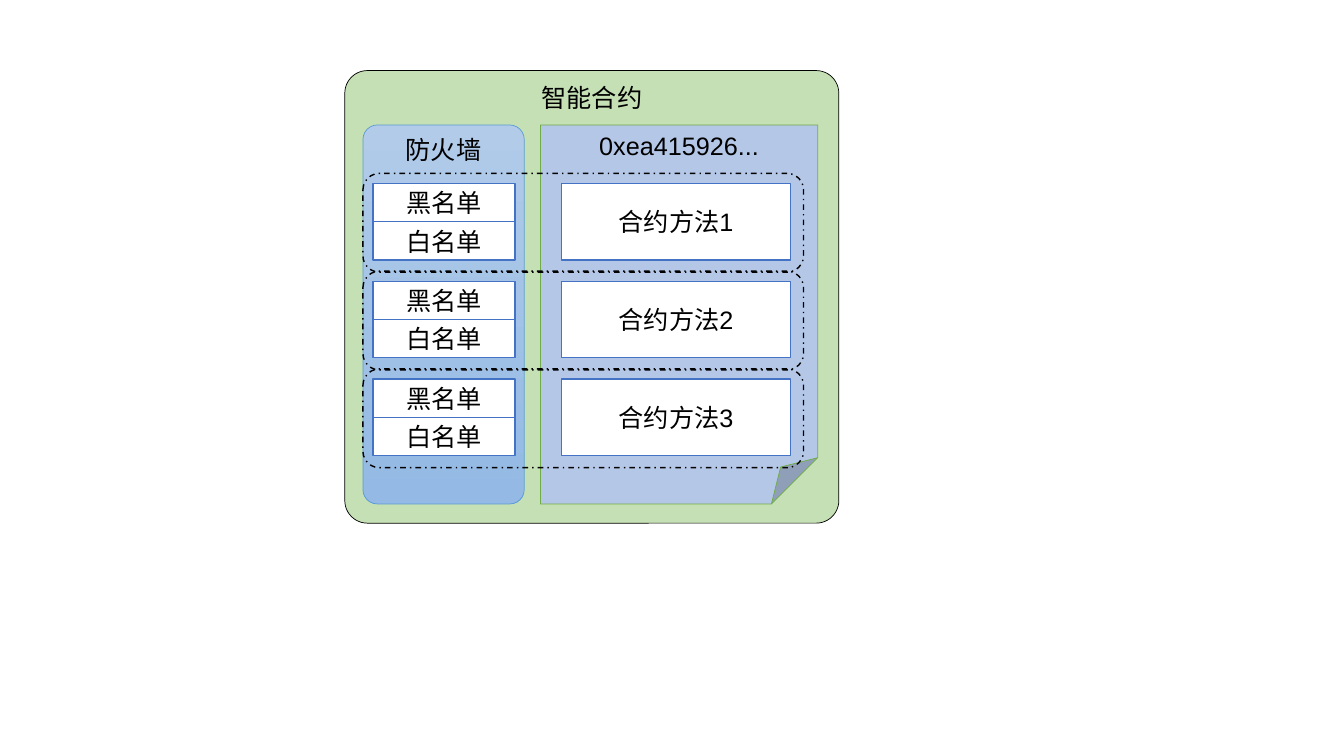
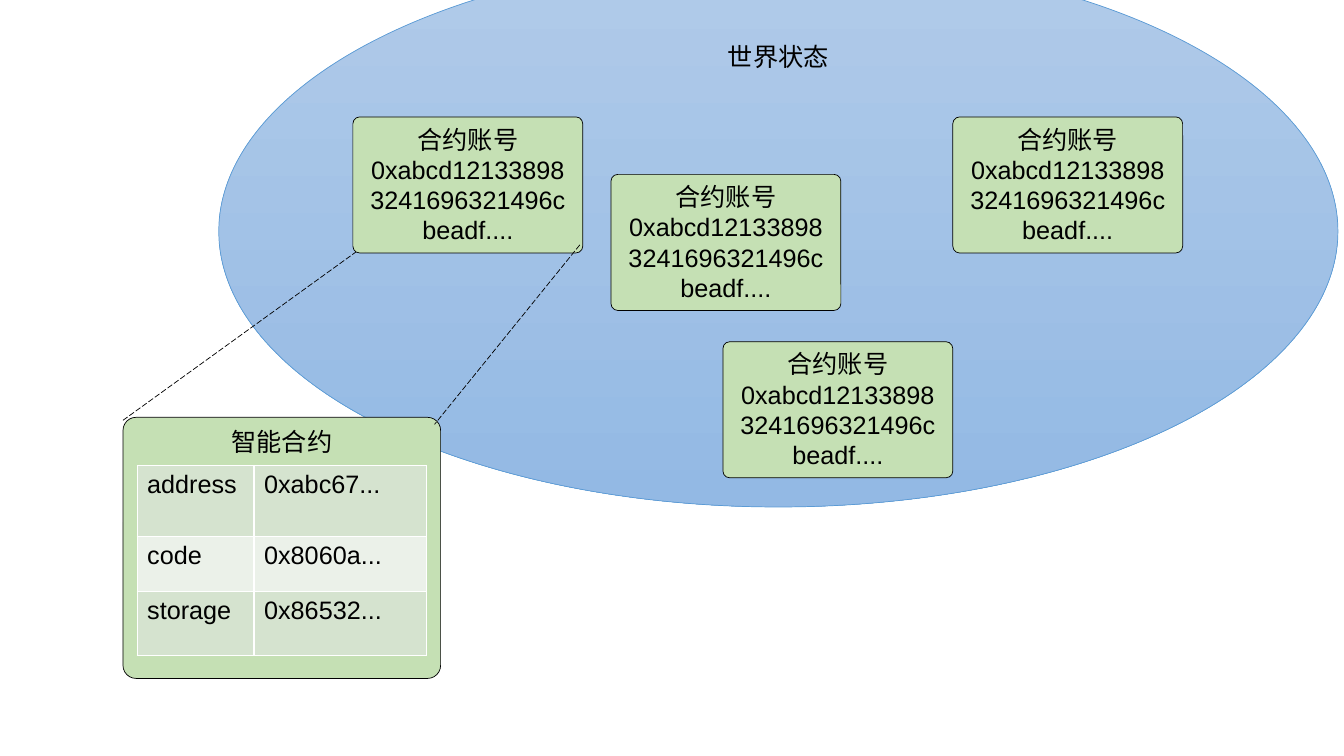
from dataclasses import dataclass

from lxml import etree
from pptx import Presentation
from pptx.dml.color import RGBColor
from pptx.enum.dml import MSO_LINE
from pptx.enum.shapes import MSO_CONNECTOR, MSO_SHAPE
from pptx.enum.text import MSO_ANCHOR, PP_ALIGN
from pptx.oxml.ns import qn
from pptx.util import Inches, Pt

RECT, ROUND = MSO_SHAPE.RECTANGLE, MSO_SHAPE.ROUNDED_RECTANGLE
FOLDED, OVAL = MSO_SHAPE.FOLDED_CORNER, MSO_SHAPE.OVAL
STRAIGHT = MSO_CONNECTOR.STRAIGHT
DASH_DOT, LONG_DASH = MSO_LINE.DASH_DOT, MSO_LINE.LONG_DASH
TOP, MIDDLE = MSO_ANCHOR.TOP, MSO_ANCHOR.MIDDLE
CENTER, LEFT = PP_ALIGN.CENTER, PP_ALIGN.LEFT

FONT, SIZE = "Arial", 18
COLORS = {
    "black": "000000", "white": "FFFFFF", "green": "C5E0B4",
    "sky": "B1CBE9", "deep_sky": "93B9E4", "sky_line": "5B9BD5",
    "page": "B4C7E7", "page_line": "70AD47", "box_line": "4472C4",
    "band_dark": "D5E3CF", "band_light": "EBF1E9",
}


@dataclass(frozen=True)
class Style:
    """Look of one family of shapes."""
    preset: int
    fills: tuple[str, ...]  # none, one solid colour, or two gradient ends
    line: str
    weight: float = 0.5
    anchor: int = TOP
    corner: float | None = None
    dash: int | None = None


@dataclass(frozen=True)
class Box:
    left: float
    top: float
    width: float
    height: float


GREEN_CARD = Style(ROUND, ("green",), "black", corner=0.05)
FIREWALL = Style(ROUND, ("sky", "deep_sky"), "sky_line", corner=0.09)
WORLD = Style(OVAL, ("sky", "deep_sky"), "sky_line")
PAGE = Style(FOLDED, ("page",), "page_line")
WHITE_BOX = Style(RECT, ("white",), "box_line", 1, MIDDLE)
GROUP_FRAME = Style(ROUND, (), "black", 1, dash=DASH_DOT)


def rgb(name: str) -> RGBColor:
    return RGBColor.from_string(COLORS[name])


def write_text(tf, text: str, align: int) -> None:
    tf.text = text
    tf.word_wrap = True
    for p in tf.paragraphs:
        p.alignment = align
        for r in p.runs:
            r.font.name, r.font.size = FONT, Pt(SIZE)
            r.font.color.rgb = rgb("black")


def format_line(line, color: str, weight: float, dash: int | None) -> None:
    line.color.rgb = rgb(color)
    line.width = Pt(weight)
    if dash is not None:
        line.dash_style = dash


def add_box(s, style: Style, box: Box, text: str = "") -> None:
    sp = s.shapes.add_shape(style.preset, Inches(box.left), Inches(box.top),
                            Inches(box.width), Inches(box.height))
    sp.shadow.inherit = False
    if style.corner is not None:
        sp.adjustments[0] = style.corner
    if not style.fills:
        sp.fill.background()
    elif len(style.fills) == 1:
        sp.fill.solid()
        sp.fill.fore_color.rgb = rgb(style.fills[0])
    else:
        sp.fill.gradient()
        sp.fill.gradient_angle = 270
        for stop, name in zip(sp.fill.gradient_stops, style.fills):
            stop.color.rgb = rgb(name)
    format_line(sp.line, style.line, style.weight, style.dash)
    if text:
        write_text(sp.text_frame, text, CENTER)
        sp.text_frame.vertical_anchor = style.anchor


def add_dashed_line(s, x1: float, y1: float, x2: float, y2: float) -> None:
    line = s.shapes.add_connector(STRAIGHT, Inches(x1), Inches(y1),
                                  Inches(x2), Inches(y2))
    format_line(line.line, "black", 0.5, LONG_DASH)
    etree.SubElement(line._element.spPr, qn("a:effectLst"))


def add_cell_borders(cell) -> None:
    tc_pr = cell._tc.get_or_add_tcPr()
    for i, side in enumerate(("lnL", "lnR", "lnT", "lnB")):
        ln = etree.Element(qn(f"a:{side}"), w=str(Pt(1)))
        fill = etree.SubElement(ln, qn("a:solidFill"))
        etree.SubElement(fill, qn("a:srgbClr"), val=COLORS["white"])
        tc_pr.insert(i, ln)


def add_state_table(s, box: Box, widths: tuple[float, ...],
                    heights: tuple[float, ...],
                    rows: tuple[tuple[str, ...], ...]) -> None:
    table = s.shapes.add_table(len(rows), len(widths), Inches(box.left),
                               Inches(box.top), Inches(box.width),
                               Inches(box.height)).table
    table.first_row = table.horz_banding = False
    for column, width in zip(table.columns, widths):
        column.width = Inches(width)
    for i, (values, height) in enumerate(zip(rows, heights)):
        table.rows[i].height = Inches(height)
        for j, value in enumerate(values):
            cell = table.cell(i, j)
            write_text(cell.text_frame, value, LEFT)
            cell.fill.solid()
            cell.fill.fore_color.rgb = rgb("band_light" if i % 2
                                           else "band_dark")
            add_cell_borders(cell)


def build_firewall_slide(s) -> None:
    # Contract, its code page and the firewall
    add_box(s, GREEN_CARD, Box(3.42, 0.7, 4.9, 4.49), "智能合约")
    add_box(s, PAGE, Box(5.36, 1.24, 2.75, 3.76), "0xea415926...")
    add_box(s, FIREWALL, Box(3.6, 1.24, 1.6, 3.76), "防火墙")

    # One row per method, guarded by a black list and a white list
    first_top, pitch, list_height = 1.82, 0.97, 0.38
    for i in range(3):
        top = first_top + i * pitch
        add_box(s, WHITE_BOX, Box(5.57, top, 2.27, 2 * list_height),
                f"合约方法{i + 1}")
        for j, name in enumerate(("黑名单", "白名单")):
            add_box(s, WHITE_BOX, Box(3.7, top + j * list_height, 1.41,
                                      list_height), name)
        add_box(s, GROUP_FRAME, Box(3.6, top - 0.1, 4.37, 0.98))


def build_world_state_slide(s) -> None:
    # World state with its contract accounts
    add_box(s, WORLD, Box(2.17, -0.44, 11.1, 5.47), "世界状态")
    account = "合约账号\n0xabcd121338983241696321496cbeadf...."
    for left, top in ((9.45, 1.16), (6.06, 1.73), (3.5, 1.16), (7.17, 3.39)):
        add_box(s, GREEN_CARD, Box(left, top, 2.28, 1.35), account)

    # Contents of one account
    add_box(s, GREEN_CARD, Box(1.22, 4.14, 3.15, 2.59), "智能合约")
    add_state_table(s, Box(1.36, 4.62, 2.87, 1.88), (1.16, 1.71),
                    (0.7, 0.55, 0.63),
                    (("address", "0xabc67..."), ("code", "0x8060a..."),
                     ("storage", "0x86532...")))

    # Zoom lines from the account to its contents
    add_dashed_line(s, 1.22, 4.17, 3.53, 2.5)
    add_dashed_line(s, 5.75, 2.43, 4.31, 4.21)


prs = Presentation()
prs.slide_width, prs.slide_height = Inches(13.33), Inches(7.5)
blank = prs.slide_layouts[6]
for build in (build_firewall_slide, build_world_state_slide):
    build(prs.slides.add_slide(blank))
prs.save("out.pptx")
